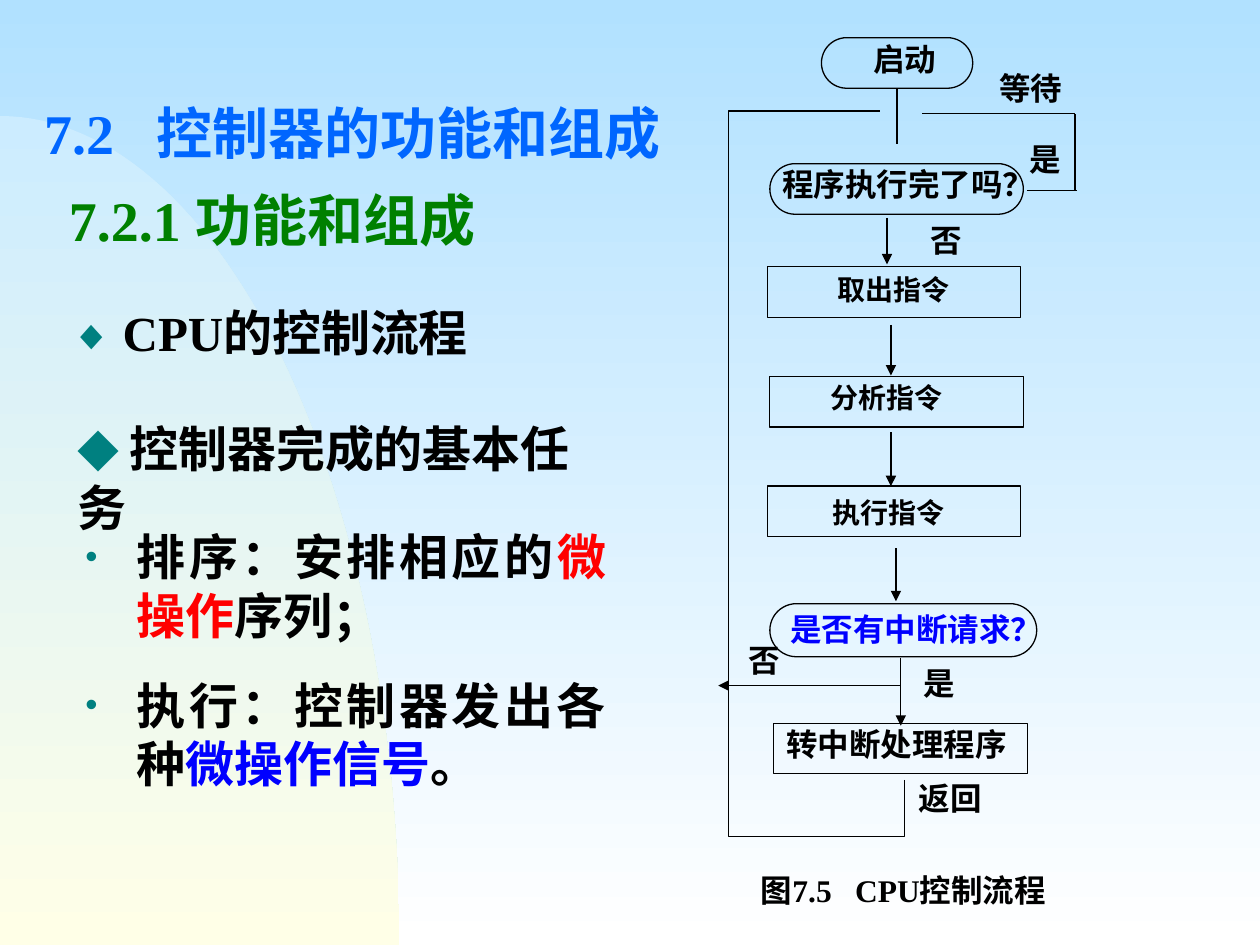
from dataclasses import dataclass
from math import cos, pi, sin
from typing import NamedTuple

from lxml.etree import SubElement
from pptx import Presentation
from pptx.dml.color import RGBColor
from pptx.enum.shapes import MSO_CONNECTOR, MSO_SHAPE
from pptx.enum.text import MSO_ANCHOR, MSO_AUTO_SIZE, PP_ALIGN
from pptx.oxml.ns import qn
from pptx.util import Cm, Pt

HUES = {
    "ink": "000000", "blue": "0000FF", "red": "FF0000", "teal": "008080",
    "head": "0066FF", "green": "008000", "sky": "B1E1FF", "white": "FFFFFF",
    "ice": "CCECFF", "cream": "FFFFE7",
}
LATIN, ASIAN = "Times New Roman", "Noto Sans CJK SC"
TIGHT = {"margin_left": 0, "margin_top": 0, "margin_right": 0, "margin_bottom": 0,
         "word_wrap": False, "auto_size": MSO_AUTO_SIZE.NONE}
ROOMY = {"margin_left": Cm(0.25), "margin_top": Cm(0.13), "margin_right": Cm(0.25),
         "margin_bottom": Cm(0.13), "word_wrap": True, "auto_size": MSO_AUTO_SIZE.NONE}


class Span(NamedTuple):
    text: str
    size: float
    hue: str = "ink"


@dataclass
class Node:
    left: float
    top: float
    width: float = 5.11
    height: float = 1.02
    form: MSO_SHAPE = MSO_SHAPE.RECTANGLE


@dataclass
class Label:
    text: str
    left: float
    top: float
    size: float = 18
    hue: str = "ink"


@dataclass
class Line:
    x1: float
    y1: float
    x2: float
    y2: float
    arrow: bool = False
    weight: float = 0.75


PILL = MSO_SHAPE.ROUNDED_RECTANGLE
NODES = [
    Node(16.56, 0.76, 3.05, form=PILL),
    Node(15.52, 3.3, form=PILL),
    Node(15.47, 5.38),
    Node(15.52, 7.59),
    Node(15.47, 9.8),
    Node(15.52, 12.17, 5.38, 1.07, PILL),
    Node(15.6, 14.58),
]
LABELS = [
    Label("启动", 17.6, 0.81),
    Label("程序执行完了吗？", 15.77, 3.33),
    Label("取出指令", 16.89, 5.49, 16),
    Label("分析指令", 16.74, 7.67, 16),
    Label("执行指令", 16.79, 9.98, 16),
    Label("是否有中断请求？", 15.93, 12.29, hue="blue"),
    Label("转中断处理程序", 15.85, 14.61),
    Label("等待", 20.14, 1.4),
    Label("是", 20.75, 2.82),
    Label("否", 18.75, 4.45),
    Label("否", 15.09, 12.93),
    Label("是", 18.62, 13.39),
    Label("返回", 18.52, 15.7),
]
LINES = [
    Line(18.08, 1.78, 18.08, 2.9, weight=1.19),
    Line(20.7, 3.84, 21.72, 3.84),
    Line(21.67, 3.84, 21.67, 2.29),
    Line(21.67, 2.29, 18.59, 2.29),
    Line(17.88, 4.39, 17.88, 5.33, True),
    Line(17.96, 6.55, 17.96, 7.57, True),
    Line(17.96, 8.71, 17.96, 9.8, True),
    Line(18.06, 11.05, 18.06, 12.12, True, 1.5),
    Line(18.16, 13.26, 18.16, 14.63, True),
    Line(18.16, 13.82, 14.48, 13.82, True),
]
LOOP = [(18.24, 15.72), (18.24, 16.87), (14.68, 16.87), (14.68, 2.24), (17.75, 2.24)]
TASKS = [
    [Span("排序：安排相应的", 28), Span("微操作", 28, "red"), Span("序列；", 28)],
    [Span("执行：控制器发出各种", 28), Span("微操作信号", 28, "blue"), Span("。", 28)],
]
HEADS = [
    (1.17, 5.97, 8.56, [Span("◆ ", 24, "teal"), Span("CPU的控制流程", 28)]),
    (1.32, 8.31, 11.23, [Span("◆ ", 24, "teal"), Span("控制器完成的基本任务", 28)]),
]


def tint(name: str) -> RGBColor:
    return RGBColor.from_string(HUES[name])


def apply(target, values: dict) -> None:
    for key, value in values.items():
        setattr(target, key, value)


def place(shape, left: float, top: float, width: float, height: float) -> None:
    apply(shape, {"left": Cm(left), "top": Cm(top), "width": Cm(width), "height": Cm(height)})


def blend(fill, first: str, last: str) -> None:
    fill.gradient()
    fill.gradient_angle = 270
    for stop, name, spot in zip(fill.gradient_stops, (first, last), (0, 1)):
        stop.color.rgb = tint(name)
        stop.position = spot


def write(par, spans: list[Span]) -> None:
    for span in spans:
        run = par.add_run()
        run.text = span.text
        apply(run.font, {"size": Pt(span.size), "bold": True, "name": LATIN})
        run.font.color.rgb = tint(span.hue)
        SubElement(run._r.get_or_add_rPr(), qn("a:ea"), typeface=ASIAN)


def indent(par, left: float, first: float = 0) -> None:
    props = par._p.get_or_add_pPr()
    props.set("marL", str(Cm(left)))
    props.set("indent", str(Cm(first)))


def add_tab(par, spot: float) -> None:
    tabs = SubElement(par._p.get_or_add_pPr(), qn("a:tabLst"))
    SubElement(tabs, qn("a:tab"), pos=str(Cm(spot)), algn="l")


def add_dot(par) -> None:
    props = par._p.get_or_add_pPr()
    SubElement(SubElement(props, qn("a:buClr")), qn("a:srgbClr"), val=HUES["teal"])
    SubElement(props, qn("a:buSzPct"), val="71000")
    SubElement(props, qn("a:buFont"), typeface="Arial")
    SubElement(props, qn("a:buChar"), char="•")


def add_text(slide, box: tuple, spans: list[Span], frame: dict, align=PP_ALIGN.LEFT):
    shape = slide.shapes.add_textbox(*map(Cm, box))
    apply(shape.text_frame, frame)
    par = shape.text_frame.paragraphs[0]
    par.alignment = align
    write(par, spans)
    return par


def outline(shape) -> None:
    shape.shadow.inherit = False
    shape.fill.background()
    shape.line.color.rgb = tint("ink")
    shape.line.width = Pt(0.75)


def add_node(slide, node: Node) -> None:
    shape = slide.shapes.add_shape(
        node.form, Cm(node.left), Cm(node.top), Cm(node.width), Cm(node.height))
    if node.form == PILL:
        shape.adjustments[0] = 0.5
    outline(shape)


def add_label(slide, label: Label) -> None:
    em = Pt(label.size).cm
    box = (label.left, label.top, len(label.text) * em, 1.2 * em)
    add_text(slide, box, [Span(label.text, label.size, label.hue)], TIGHT, PP_ALIGN.CENTER)


def add_line(slide, line: Line) -> None:
    wire = slide.shapes.add_connector(
        MSO_CONNECTOR.STRAIGHT, Cm(line.x1), Cm(line.y1), Cm(line.x2), Cm(line.y2))
    wire.line.color.rgb = tint("ink")
    wire.line.width = Pt(line.weight)
    if line.arrow:
        SubElement(wire.line._get_or_add_ln(), qn("a:tailEnd"), type="triangle")
    SubElement(wire._element.spPr, qn("a:effectLst"))


def add_path(slide, points: list, close: bool):
    pen = slide.shapes.build_freeform(*map(Cm, points[0]))
    pen.add_line_segments([(Cm(x), Cm(y)) for x, y in points[1:]], close=close)
    shape = pen.convert_to_shape()
    outline(shape)
    return shape


def add_arc(slide) -> None:
    turns = [pi / 2 * step / 60 for step in range(61)]
    rim = [(8.05 * sin(turn), 19.05 - 16.71 * cos(turn)) for turn in turns]
    shape = add_path(slide, rim + [(0, 19.05)], True)
    blend(shape.fill, "ice", "cream")
    shape.line.fill.background()
    shape._element.getparent().insert(2, shape._element)


def fill_title(title) -> None:
    place(title, 0.64, 1.47, 13.16, 3.73)
    frame = title.text_frame
    apply(frame, ROOMY | {"vertical_anchor": MSO_ANCHOR.MIDDLE})
    first, second = frame.paragraphs[0], frame.add_paragraph()
    for par in (first, second):
        apply(par, {"alignment": PP_ALIGN.LEFT, "line_spacing": 1.3})
    add_tab(first, 2.26)
    indent(second, 0.5)
    write(first, [Span("7.2\t控制器的功能和组成", 32, "head")])
    write(second, [Span("7.2.1 功能和组成", 32, "green")])


def fill_body(body) -> None:
    place(body, 1.47, 10.49, 11, 5.61)
    frame = body.text_frame
    apply(frame, ROOMY)
    for rank, spans in enumerate(TASKS):
        par = frame.add_paragraph() if rank else frame.paragraphs[0]
        apply(par, {"alignment": PP_ALIGN.JUSTIFY, "space_before": Pt(17.5 * rank)})
        indent(par, 1.04, -1.04)
        add_dot(par)
        write(par, spans)


def main() -> None:
    deck = Presentation()
    deck.slide_width, deck.slide_height = Cm(25.4), Cm(19.05)
    slide = deck.slides.add_slide(deck.slide_layouts[1])
    blend(slide.background.fill, "sky", "white")
    add_arc(slide)
    fill_title(slide.shapes.title)
    fill_body(slide.placeholders[1])
    for left, top, width, spans in HEADS:
        add_text(slide, (left, top, width, 1.45), spans, ROOMY)
    for node in NODES:
        add_node(slide, node)
    add_path(slide, LOOP, False)
    for line in LINES:
        add_line(slide, line)
    for label in LABELS:
        add_label(slide, label)
    note = add_text(slide, (15.34, 17.55, 5.89, 0.76), [Span("图7.5\tCPU控制流程", 18)], TIGHT)
    add_tab(note, 1.9)
    deck.save("out.pptx")


if __name__ == "__main__":
    main()
